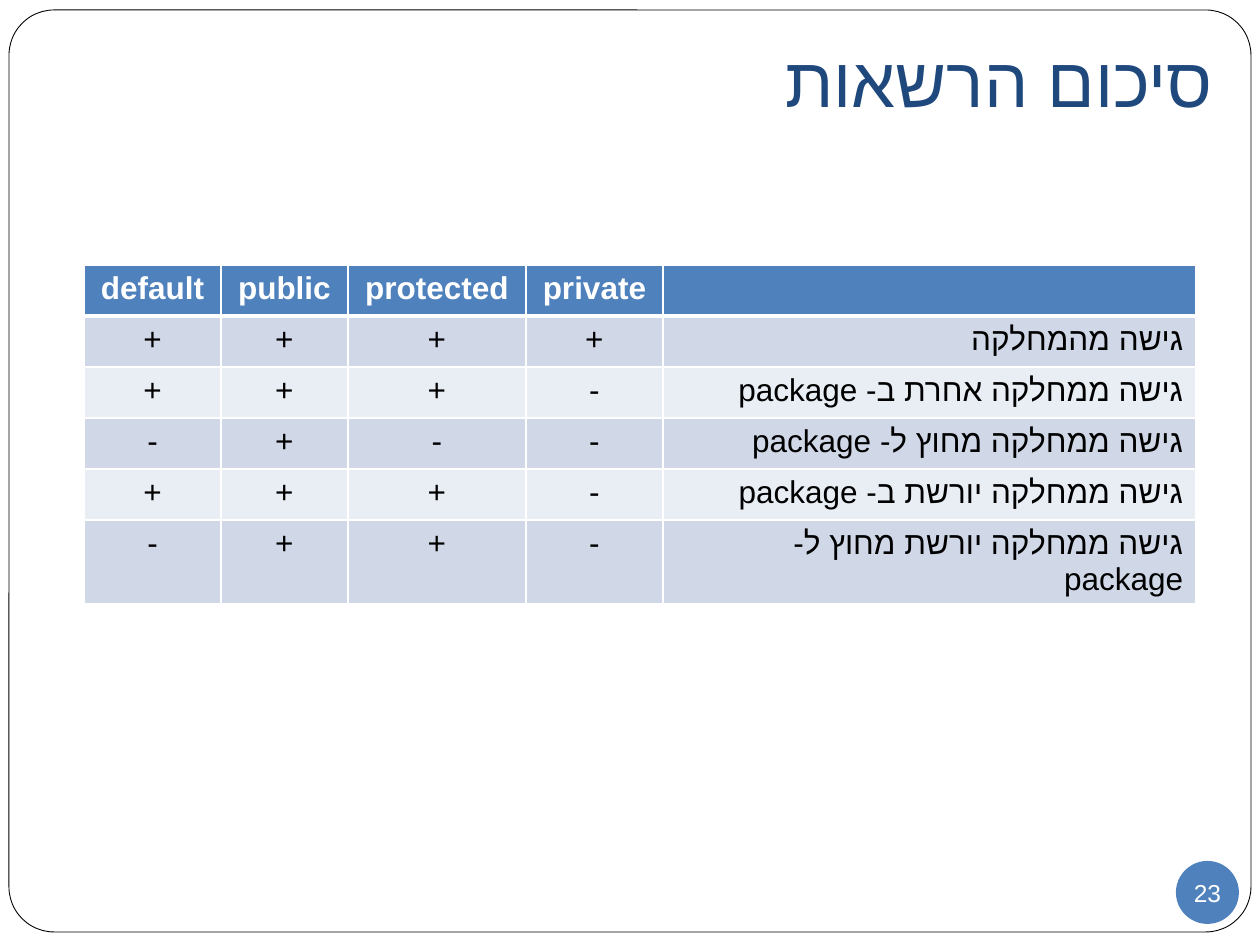
from dataclasses import dataclass

from lxml import etree
from pptx import Presentation
from pptx import util as u
from pptx.dml.color import RGBColor
from pptx.enum import shapes, text
from pptx.oxml.ns import qn

PX = u.Inches(1) // 126


@dataclass(frozen=True)
class Theme:
    """Colours, font and type sizes of the slide."""
    font: str = "Arial"
    title: str = "1F497D"
    accent: str = "4F81BD"
    bands: tuple = ("D0D8E8", "E9EDF4")
    white: str = "FFFFFF"
    black: str = "000000"
    title_size: int = 40
    table_size: int = 18
    number_size: int = 14


THEME = Theme()
HEADINGS = ("default", "public", "protected", "private", "")
ACCESS = (
    ("++++", "גישה מהמחלקה"),
    ("+++-", "גישה ממחלקה אחרת ב- package"),
    ("-+--", "גישה ממחלקה מחוץ ל- package"),
    ("+++-", "גישה ממחלקה יורשת ב- package"),
    ("-++-", "גישה ממחלקה יורשת מחוץ ל- package"),
)
COLUMN_WIDTHS = (137, 127, 178, 137, 533)
ROW_HEIGHT = 51


def px(*lengths):
    """Turn whole pixels into EMU."""
    return [length * PX for length in lengths]


def paint(fill, color):
    """Give a fill one solid colour."""
    fill.solid()
    fill.fore_color.rgb = RGBColor.from_string(color)


def write(frame, wording, *, size, color, align=text.PP_ALIGN.CENTER, bold=False):
    """Write one right-to-left paragraph into a text frame."""
    paragraph = frame.paragraphs[0]
    paragraph.alignment = align
    paragraph._p.get_or_add_pPr().set("rtl", "1")
    run = paragraph.add_run()
    run.text = wording
    run.font.name = THEME.font
    run.font.size = u.Pt(size)
    run.font.bold = bold
    run.font.color.rgb = RGBColor.from_string(color)
    complex_font = etree.SubElement(run._r.get_or_add_rPr(), qn("a:cs"))
    complex_font.set("typeface", THEME.font)


def set_margins(frame, left, top, right, bottom):
    """Set the four text insets in pixels."""
    frame.margin_left, frame.margin_top, frame.margin_right, frame.margin_bottom = px(
        left, top, right, bottom)


def add_title(slide, wording):
    """Place and fill the title placeholder."""
    title = slide.shapes.title
    title.left, title.top, title.width, title.height = px(25, 38, 1201, 97)
    frame = title.text_frame
    frame.word_wrap = True
    frame.auto_size = text.MSO_AUTO_SIZE.NONE
    frame.vertical_anchor = text.MSO_ANCHOR.BOTTOM
    set_margins(frame, 13, 6, 13, 13)
    write(frame, wording, size=THEME.title_size, color=THEME.title,
          align=text.PP_ALIGN.RIGHT)


def add_frame(slide):
    """Put the rounded page frame behind the title."""
    frame = slide.shapes.add_shape(
        shapes.MSO_SHAPE.ROUNDED_RECTANGLE, *px(9, 10, 1242, 922))
    frame.adjustments[0] = 0.049
    frame.shadow.inherit = False
    paint(frame.fill, THEME.white)
    paint(frame.line.fill, THEME.black)
    frame.line.width = u.Pt(0.5)
    slide.shapes.title.element.addprevious(frame.element)


def set_borders(cell, top, bottom):
    """Draw white cell borders, with the top and bottom weights in points."""
    properties = cell._tc.get_or_add_tcPr()
    for index, (side, weight) in enumerate(
            (("L", 1), ("R", 1), ("T", top), ("B", bottom))):
        border = etree.Element(qn(f"a:ln{side}"), w=str(u.Pt(weight)))
        fill = etree.SubElement(border, qn("a:solidFill"))
        etree.SubElement(fill, qn("a:srgbClr"), val=THEME.white)
        properties.insert(index, border)


def add_access_table(slide):
    """Build the table of access rights by modifier."""
    rows = [HEADINGS] + [(*signs, caller) for signs, caller in ACCESS]
    table = slide.shapes.add_table(
        len(rows), len(HEADINGS),
        *px(84, 265, sum(COLUMN_WIDTHS), ROW_HEIGHT * len(rows))).table
    for column, width in zip(table.columns, COLUMN_WIDTHS):
        column.width = width * PX
    for row_index, row in enumerate(rows):
        header = row_index == 0
        band = THEME.accent if header else THEME.bands[(row_index - 1) % 2]
        for column_index, wording in enumerate(row):
            cell = table.cell(row_index, column_index)
            paint(cell.fill, band)
            set_borders(cell, top=3 if row_index == 1 else 1, bottom=3 if header else 1)
            if wording:
                caller = column_index == len(row) - 1
                write(cell.text_frame, wording, size=THEME.table_size, bold=header,
                      color=THEME.white if header else THEME.black,
                      align=text.PP_ALIGN.RIGHT if caller else text.PP_ALIGN.CENTER)


def add_page_number(slide, number):
    """Add the round page number badge."""
    badge = slide.shapes.add_shape(shapes.MSO_SHAPE.OVAL, *px(1176, 861, 63, 63))
    badge.shadow.inherit = False
    paint(badge.fill, THEME.accent)
    badge.line.fill.background()
    frame = badge.text_frame
    frame.word_wrap = False
    frame.vertical_anchor = text.MSO_ANCHOR.MIDDLE
    set_margins(frame, 0, 0, 0, 0)
    write(frame, number, size=THEME.number_size, color=THEME.white)


def main():
    """Build and save the slide."""
    presentation = Presentation()
    presentation.slide_width, presentation.slide_height = px(1260, 945)
    slide = presentation.slides.add_slide(presentation.slide_layouts[5])
    paint(slide.background.fill, THEME.white)
    add_frame(slide)
    add_title(slide, "סיכום הרשאות")
    add_access_table(slide)
    add_page_number(slide, "23")
    presentation.save("out.pptx")


if __name__ == "__main__":
    main()
